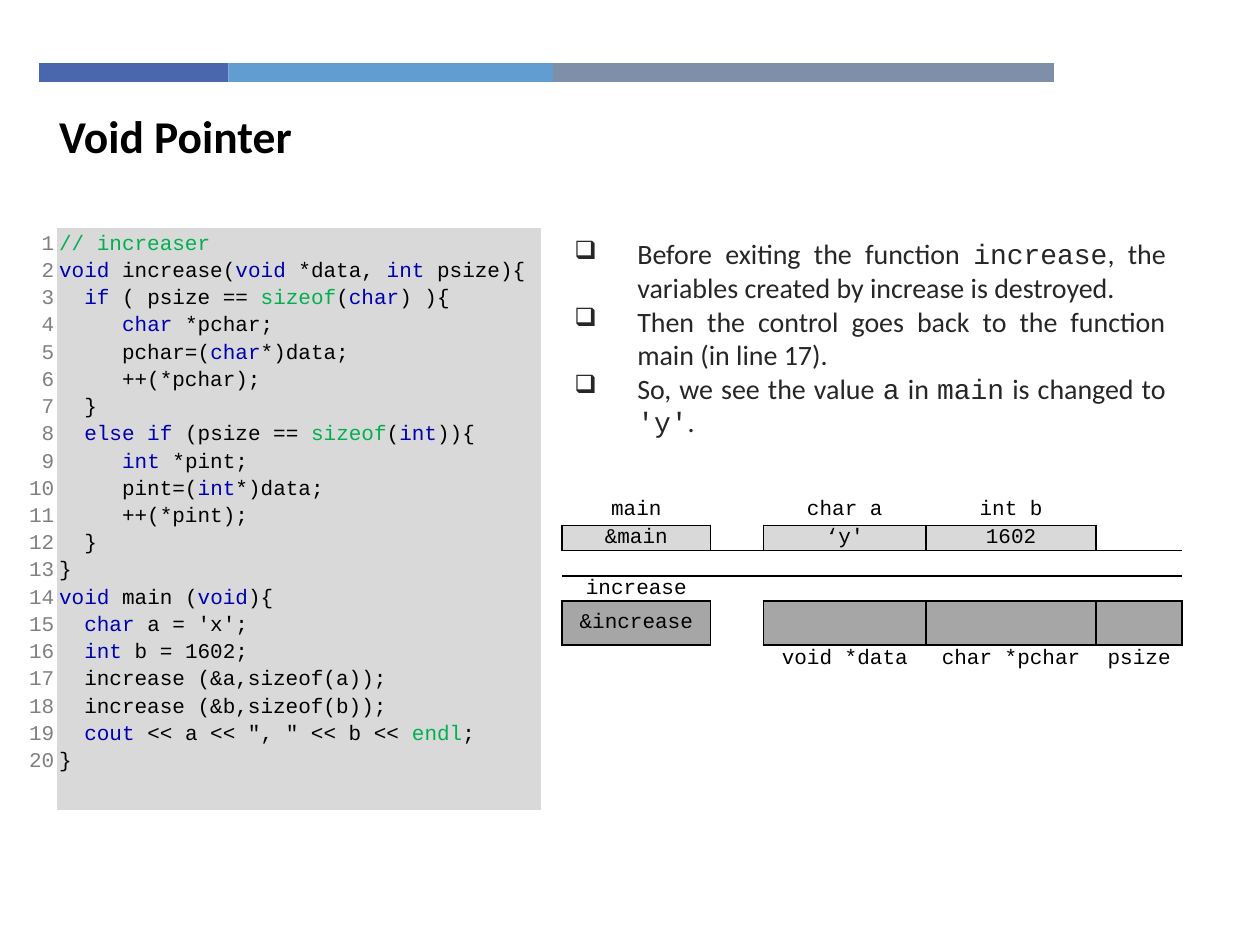
from dataclasses import dataclass

from lxml import etree
from pptx import Presentation
from pptx.dml.color import RGBColor
from pptx.enum.shapes import MSO_SHAPE
from pptx.enum.text import MSO_ANCHOR, PP_ALIGN
from pptx.oxml.ns import qn
from pptx.util import Pt

RECT = MSO_SHAPE.RECTANGLE
MIDDLE = MSO_ANCHOR.MIDDLE
LEFT, CENTER, RIGHT, JUSTIFY = (
    PP_ALIGN.LEFT, PP_ALIGN.CENTER, PP_ALIGN.RIGHT, PP_ALIGN.JUSTIFY)

BLACK = RGBColor(0x00, 0x00, 0x00)
DARK = RGBColor(0x26, 0x26, 0x26)
GRAY = RGBColor(0x80, 0x80, 0x80)
LIGHT_FILL = RGBColor(0xD9, 0xD9, 0xD9)
MID_FILL = RGBColor(0xA6, 0xA6, 0xA6)
BLUE = RGBColor(0x00, 0x00, 0xB0)
GREEN = RGBColor(0x00, 0xB0, 0x50)

SANS, MONO = "Calibri", "Courier New"
NO_STYLE = "{2D5ABB26-0587-4C30-8999-92F81FD0307C}"


@dataclass
class Band:
    left: float
    width: float
    color: RGBColor


@dataclass
class MemoryCell:
    row: int
    col: int
    text: str = ""
    fill: RGBColor | None = None


BANDS = [
    Band(22.3, 108.2, RGBColor(0x4A, 0x66, 0xAC)),
    Band(130.5, 185.6, RGBColor(0x62, 0x9D, 0xD1)),
    Band(316.1, 286.2, RGBColor(0x7F, 0x8F, 0xA9)),
]

# "|" separates the tokens; a token found in TOKEN_COLORS is highlighted.
TOKEN_COLORS = {
    **dict.fromkeys(("void", "int", "char", "if", "else if", "cout"), BLUE),
    **dict.fromkeys(("// increaser", "sizeof", "endl"), GREEN),
}
CODE = """// increaser
void| increase(|void| *data, |int| psize){
  |if| ( psize == |sizeof|(|char|) ){
     |char| *pchar;
     pchar=(|char|*)data;
     ++(*pchar);
  }
  |else if| (psize == |sizeof|(|int|)){
     |int| *pint;
     pint=(|int|*)data;
     ++(*pint);
  }
}
void| main (|void|){
  |char| a = 'x';
  |int| b = 1602;
  increase (&a,sizeof(a));
  increase (&b,sizeof(b));
  |cout| << a << ", " << b << |endl|;
}""".split("\n")

# "|" switches between the sans and the monospaced font.
BULLETS = [
    "Before exiting the function |increase|, the variables created by increase is destroyed. ",
    "Then the control goes back to the function main (in line 17). ",
    "So, we see the value |a| in |main| is changed to |'y'|.",
]

MEMORY_COLS = [85, 30.2, 28.8, 64.1, 28.1, 69.1, 49.2]
MEMORY_ROWS = [18, 13.6, 13, 14.4, 25.2, 16]
MEMORY_CELLS = [
    MemoryCell(0, 0, "main"),
    MemoryCell(0, 2, "char a"),
    MemoryCell(0, 4, "int b"),
    MemoryCell(1, 0, "&main", LIGHT_FILL),
    MemoryCell(1, 2, "‘y'", LIGHT_FILL),
    MemoryCell(1, 4, "1602", LIGHT_FILL),
    MemoryCell(3, 0, "increase"),
    MemoryCell(4, 0, "&increase", MID_FILL),
    MemoryCell(4, 2, "", MID_FILL),
    MemoryCell(4, 4, "", MID_FILL),
    MemoryCell(4, 6, "", MID_FILL),
    MemoryCell(5, 2, "void *data"),
    MemoryCell(5, 4, "char *pchar"),
    MemoryCell(5, 6, "psize"),
]


def set_font(font, name: str, size: float, color: RGBColor) -> None:
    font.name, font.size = name, Pt(size)
    font.color.rgb = color


def set_margins(obj, left: float, top: float, right: float, bottom: float) -> None:
    obj.margin_left, obj.margin_top = Pt(left), Pt(top)
    obj.margin_right, obj.margin_bottom = Pt(right), Pt(bottom)


def add_band(s, band: Band) -> None:
    sp = s.shapes.add_shape(RECT, Pt(band.left), Pt(36), Pt(band.width), Pt(10.8))
    sp.shadow.inherit = False
    sp.fill.solid()
    sp.fill.fore_color.rgb = band.color
    sp.line.fill.background()


def add_plain_table(s, left: float, top: float, cols: list[float], rows: list[float]):
    """Add a table without style, grid or fills."""
    frame = s.shapes.add_table(len(rows), len(cols), Pt(left), Pt(top),
                               Pt(sum(cols)), Pt(sum(rows)))
    table = frame.table
    table.first_row = table.horz_banding = False
    table._tbl.tblPr.find(qn("a:tableStyleId")).text = NO_STYLE
    for column, width in zip(table.columns, cols):
        column.width = Pt(width)
    for row, height in zip(table.rows, rows):
        row.height = Pt(height)
    for cell in table.iter_cells():
        cell.fill.background()
    return table


def fill_cell(cell, color: RGBColor) -> None:
    cell.fill.solid()
    cell.fill.fore_color.rgb = color


def add_borders(cell, sides: str) -> None:
    """Draw black 1 pt lines on the sides named by letters of "LRTB"."""
    tcPr = cell._tc.get_or_add_tcPr()
    for i, side in enumerate(sides):
        ln = etree.Element(qn(f"a:ln{side}"), w=str(Pt(1)))
        fill = etree.SubElement(ln, qn("a:solidFill"))
        etree.SubElement(fill, qn("a:srgbClr"), val=str(BLACK))
        tcPr.insert(i, ln)


def add_code(s) -> None:
    table = add_plain_table(s, 10.1, 130.3, [22.3, 276.5], [332.6])
    numbers, code = table.cell(0, 0), table.cell(0, 1)
    set_margins(numbers, 0.7, 0.7, 1.4, 0.7)
    set_margins(code, 1.4, 0.7, 0.7, 0.7)
    fill_cell(code, LIGHT_FILL)

    p = numbers.text_frame.paragraphs[0]
    p.text = "\n".join(str(n + 1) for n in range(len(CODE)))
    p.alignment, p.line_spacing = RIGHT, 1.15
    set_font(p.font, MONO, 12, GRAY)

    tf = code.text_frame
    for i, line in enumerate(CODE):
        p = tf.add_paragraph() if i else tf.paragraphs[0]
        p.alignment, p.line_spacing = LEFT, 1.15
        set_font(p.font, MONO, 12, BLACK)
        for token in line.split("|"):
            r = p.add_run()
            r.text = token
            if token in TOKEN_COLORS:
                r.font.color.rgb = TOKEN_COLORS[token]


def add_bullets(s) -> None:
    tf = s.shapes.add_textbox(Pt(321.1), Pt(131.8), Pt(352.1), Pt(123.8)).text_frame
    tf.word_wrap = True
    for i, text in enumerate(BULLETS):
        p = tf.add_paragraph() if i else tf.paragraphs[0]
        p.alignment = JUSTIFY
        set_font(p.font, SANS, 16, DARK)
        pPr = p._p.get_or_add_pPr()
        pPr.set("marL", str(Pt(36)))
        pPr.set("indent", str(Pt(-36)))
        bullet = etree.Element(qn("a:buChar"), char="❑")
        pPr.insert(0, bullet)
        bullet.addprevious(etree.Element(qn("a:buSzPct"), val="90000"))
        for j, part in enumerate(text.split("|")):
            r = p.add_run()
            r.text = part
            if j % 2:
                r.font.name = MONO


def add_memory_table(s) -> None:
    table = add_plain_table(s, 321.1, 282.2, MEMORY_COLS, MEMORY_ROWS)
    for row in (0, 1, 4, 5):
        for col in (2, 4):
            table.cell(row, col).merge(table.cell(row, col + 1))
    table.cell(2, 0).merge(table.cell(2, 6))
    for cell in table.iter_cells():
        set_margins(cell, 5, 0, 5, 0)
        cell.vertical_anchor = MIDDLE
        p = cell.text_frame.paragraphs[0]
        p.alignment = CENTER
        set_font(p.font, MONO, 12, BLACK)
    for item in MEMORY_CELLS:
        cell = table.cell(item.row, item.col)
        cell.text_frame.paragraphs[0].text = item.text
        if item.fill:
            fill_cell(cell, item.fill)
            add_borders(cell, "LRTB")
    for col in range(len(MEMORY_COLS)):
        add_borders(table.cell(2, col), "T")


def main() -> None:
    prs = Presentation()
    prs.slide_width, prs.slide_height = Pt(720), Pt(540)
    s = prs.slides.add_slide(prs.slide_layouts[5])
    for band in BANDS:
        add_band(s, band)

    title = s.shapes.title
    title.left, title.top, title.width, title.height = Pt(26.6), Pt(57.6), Pt(515.5), Pt(39)
    tf = title.text_frame
    tf.text, tf.vertical_anchor = "Void Pointer", MIDDLE
    p = tf.paragraphs[0]
    p.alignment, p.font.bold = LEFT, True
    set_font(p.font, SANS, 26, BLACK)

    add_bullets(s)
    add_code(s)
    add_memory_table(s)
    prs.save("out.pptx")


if __name__ == "__main__":
    main()
